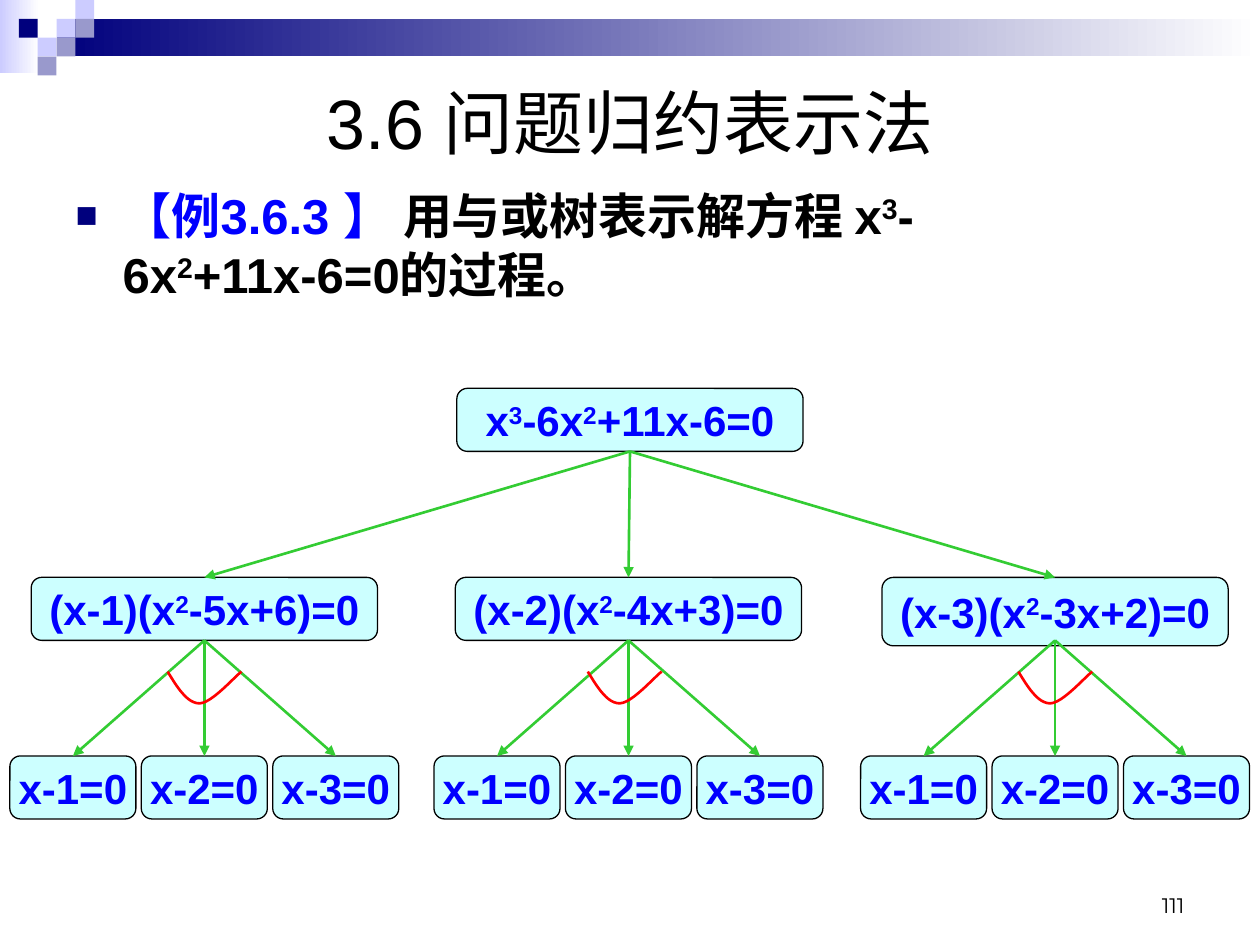
from lxml.etree import SubElement
from pptx import Presentation
from pptx.dml.color import RGBColor
from pptx.enum.shapes import MSO_CONNECTOR as Connector, MSO_SHAPE as Shape
from pptx.enum.text import MSO_ANCHOR as Anchor, MSO_AUTO_SIZE as AutoSize, PP_ALIGN as Align
from pptx.oxml.ns import qn
from pptx.util import Cm, Pt

BLACK = RGBColor(0x00, 0x00, 0x00)
WHITE = RGBColor(0xFF, 0xFF, 0xFF)
NAVY = RGBColor(0x00, 0x00, 0x7D)
LILAC = RGBColor(0xCC, 0xCC, 0xFF)
SLATE = RGBColor(0x99, 0x99, 0xCC)
BLUE = RGBColor(0x00, 0x00, 0xFF)
CYAN = RGBColor(0xCC, 0xFF, 0xFF)
GREEN = RGBColor(0x33, 0xCC, 0x33)
RED = RGBColor(0xFF, 0x00, 0x00)

NODE_WIDTH, NODE_HEIGHT = 6.98, 1.27
LEAF_WIDTH, LEAF_PITCH = 2.54, 2.65


def place(shape, left, top, width, height):
    shape.left, shape.top = Cm(left), Cm(top)
    shape.width, shape.height = Cm(width), Cm(height)


def style(font, size, color, bold=False, name="Arial"):
    font.name, font.size, font.bold = name, Pt(size), bold
    font.color.rgb = color


def add_formula(para, text, size, color):
    """Add bold text in which ^ raises the one character after it."""
    plain, *raised = text.split("^")
    pieces = [(plain, False)]
    for part in raised:
        pieces += [(part[0], True), (part[1:], False)]
    for piece, is_raised in pieces:
        span = para.add_run()
        span.text = piece
        style(span.font, size, color, bold=True)
        if is_raised:
            span.font._element.set("baseline", "30000")


def add_block(page, left, top, width, height, start, end=None):
    block = page.shapes.add_shape(Shape.RECTANGLE, Cm(left), Cm(top), Cm(width), Cm(height))
    block.shadow.inherit = False
    block.line.fill.background()
    if end is None:
        block.fill.solid()
        block.fill.fore_color.rgb = start
        return
    block.fill.gradient()
    block.fill.gradient_angle = 0
    for stop, color, position in zip(block.fill.gradient_stops, (start, end), (0, 1)):
        stop.color.rgb = color
        stop.position = position


def add_banner(page, left, top, width):
    unit = 0.38
    add_block(page, left, top, 0.79, 1.47, LILAC, WHITE)
    add_block(page, left + 3 * unit, top + unit, width - 3 * unit, 0.76, NAVY, WHITE)
    # Mosaic of squares on a grid: column, row, colour
    for column, row, color in [(3, 1, LILAC), (4, 0, LILAC), (4, 1, SLATE), (2, 2, LILAC),
                               (1, 1, NAVY), (3, 2, SLATE), (2, 3, SLATE)]:
        add_block(page, left + column * unit, top + row * unit, unit, unit, color)


def fill_title(title, left, top, width, height):
    place(title, left, top, width, height)
    frame = title.text_frame
    frame.text = "3.6 问题归约表示法"
    frame.auto_size = AutoSize.NONE
    frame.vertical_anchor = Anchor.MIDDLE
    para = frame.paragraphs[0]
    para.alignment = Align.CENTER
    style(para.runs[0].font, 40, BLACK)


def fill_example(body, left, top, width, height):
    place(body, left, top, width, height)
    frame = body.text_frame
    frame.auto_size = AutoSize.NONE
    para = frame.paragraphs[0]
    # Square navy bullet with a hanging indent
    props = para._p.get_or_add_pPr()
    props.set("marL", str(Cm(0.95)))
    props.set("indent", str(-Cm(0.95)))
    para.space_before = Pt(0)
    SubElement(SubElement(props, qn("a:buClr")), qn("a:srgbClr"), val=str(NAVY))
    SubElement(props, qn("a:buSzPct"), val="75000")
    SubElement(props, qn("a:buFont"), typeface="Arial")
    SubElement(props, qn("a:buChar"), char="■")
    add_formula(para, "【例3.6.3 】 ", 28, BLUE)
    add_formula(para, "用与或树表示解方程 x^3-6x^2+11x-6=0的过程。", 28, BLACK)


def add_node(page, left, top, width, text, height=NODE_HEIGHT):
    node = page.shapes.add_shape(Shape.ROUNDED_RECTANGLE, Cm(left), Cm(top), Cm(width), Cm(height))
    node.shadow.inherit = False
    node.fill.solid()
    node.fill.fore_color.rgb = CYAN
    node.line.color.rgb = BLACK
    node.line.width = Pt(0.75)
    frame = node.text_frame
    frame.word_wrap = False
    frame.vertical_anchor = Anchor.MIDDLE
    para = frame.paragraphs[0]
    para.alignment = Align.CENTER
    add_formula(para, text, 24, BLUE)


def add_arrow(page, start_x, start_y, end_x, end_y):
    arrow = page.shapes.add_connector(Connector.STRAIGHT, Cm(start_x), Cm(start_y),
                                      Cm(end_x), Cm(end_y))
    arrow.line.color.rgb = GREEN
    arrow.line.width = Pt(1.5)
    SubElement(arrow.line._get_or_add_ln(), qn("a:tailEnd"), type="triangle")
    SubElement(arrow._element.spPr, qn("a:effectLst"))


def bezier(points, steps=12):
    for step in range(steps + 1):
        t = step / steps
        weights = ((1 - t) ** 3, 3 * t * (1 - t) ** 2, 3 * t * t * (1 - t), t ** 3)
        yield tuple(sum(w * point[axis] for w, point in zip(weights, points)) for axis in (0, 1))


def add_and_arc(page, left, top):
    curves = [[(0, 0), (0.2, 0.33), (0.4, 0.64), (0.64, 0.64)],
              [(0.64, 0.64), (0.89, 0.64), (1.35, 0.1), (1.49, 0)]]
    points = [(Cm(left + x), Cm(top + y)) for curve in curves for x, y in bezier(curve)]
    builder = page.shapes.build_freeform(*points[0])
    builder.add_line_segments(points[1:], close=False)
    arc = builder.convert_to_shape()
    arc.shadow.inherit = False
    arc.fill.background()
    arc.line.color.rgb = RED
    arc.line.width = Pt(1.5)


def add_branch(page, left, top, text, height, arc_left):
    """Add one factored equation with its three joined solutions."""
    center, leaf_top = left + NODE_WIDTH / 2, top + 3.6
    add_node(page, left, top, NODE_WIDTH, text, height)
    for root in (1, 2, 3):
        leaf_center = center + (root - 2) * LEAF_PITCH
        add_node(page, leaf_center - LEAF_WIDTH / 2, leaf_top, LEAF_WIDTH, f"x-{root}=0")
        add_arrow(page, center, top + NODE_HEIGHT, leaf_center, leaf_top)
    add_and_arc(page, left + arc_left, top + 1.9)


def add_tree(page, left, top):
    root_left, branch_top = left + 8.58, top + 3.81
    add_node(page, root_left, top, NODE_WIDTH, "x^3-6x^2+11x-6=0")
    # Branches: offset, equation, box height, arc offset
    for offset, text, height, arc_left in [
            (0, "(x-1)(x^2-5x+6)=0", NODE_HEIGHT, 2.75),
            (8.55, "(x-2)(x^2-4x+3)=0", NODE_HEIGHT, 2.67),
            (17.15, "(x-3)(x^2-3x+2)=0", 1.38, 2.75)]:
        add_branch(page, left + offset, branch_top, text, height, arc_left)
        add_arrow(page, root_left + NODE_WIDTH / 2, top + NODE_HEIGHT,
                  left + offset + NODE_WIDTH / 2, branch_top)


def add_page_number(page, left, top, width, height):
    box = page.shapes.add_textbox(Cm(left), Cm(top), Cm(width), Cm(height))
    frame = box.text_frame
    frame.word_wrap = True
    frame.vertical_anchor = Anchor.BOTTOM
    frame.text = "111"
    para = frame.paragraphs[0]
    para.alignment = Align.RIGHT
    style(para.runs[0].font, 12, BLACK, name="Montserrat")


def main():
    deck = Presentation()
    deck.slide_width, deck.slide_height = Cm(25.4), Cm(19.05)
    page = deck.slides.add_slide(deck.slide_layouts[1])
    add_banner(page, 0, 0, 25.4)
    fill_title(page.shapes.title, 1.27, 1.27, 22.86, 2.34)
    fill_example(page.placeholders[1], 1.27, 3.61, 22.86, 2.74)
    add_tree(page, 0.63, 7.83)
    add_page_number(page, 18.21, 17.35, 5.92, 1.27)
    deck.save("out.pptx")


if __name__ == "__main__":
    main()
